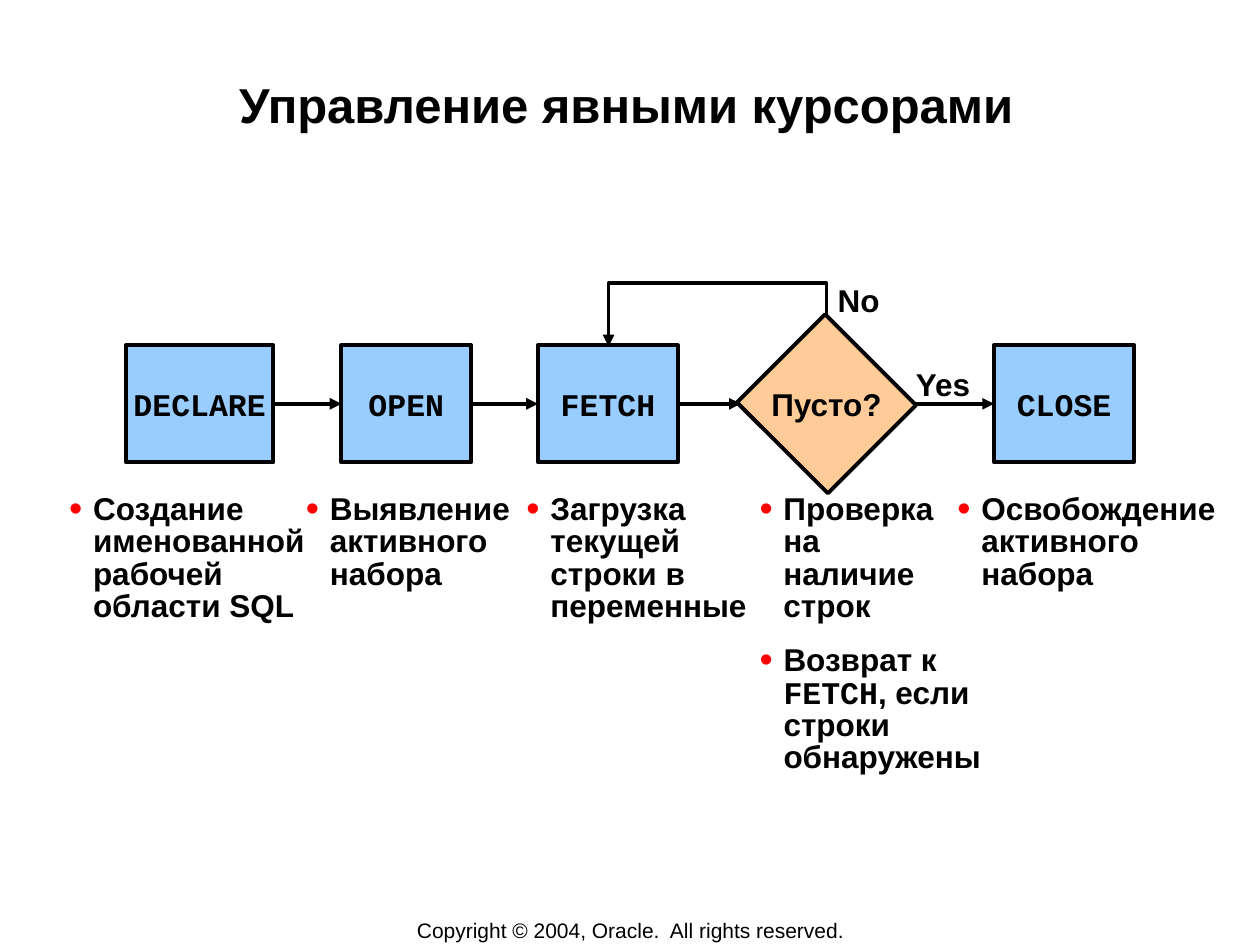
from lxml import etree
from pptx import Presentation
from pptx import util as u
from pptx.dml.color import RGBColor
from pptx.enum import shapes, text
from pptx.oxml import ns

COLORS = {"ink": "000000", "step": "99CCFF", "test": "FFCC99", "bullet": "FF0000"}
SANS, MONO = "Arial", "Courier New"
CENTER, LEFT = text.PP_ALIGN.CENTER, text.PP_ALIGN.LEFT
MIDDLE, TOP = text.MSO_ANCHOR.MIDDLE, text.MSO_ANCHOR.TOP
LINE_WIDTH = u.Pt(2.25)

STEP_TOP, STEP_HEIGHT = 2.74, 0.93
STEPS = {"DECLARE": (1, 1.17), "OPEN": (2.71, 1.03), "FETCH": (4.27, 1.11), "CLOSE": (7.89, 1.11)}
TEST_BOX = (6.05, 2.71, 1.02, 0.99)
TEST_LEFT, TEST_RIGHT = 5.88, 7.25
NOTES_TOP = 3.88
NOTES = [
    ((0.45, NOTES_TOP, 2.22, 0.87), [("Создание именованной рабочей области SQL", SANS)]),
    ((2.33, NOTES_TOP, 1.83, 0.79), [("Выявление активного набора", SANS)]),
    ((4.08, NOTES_TOP, 2.08, 1.12), [("Загрузка текущей строки в переменные", SANS)]),
    ((5.93, NOTES_TOP, 1.74, 1.22), [("Проверка на наличие строк", SANS)]),
    ((5.93, NOTES_TOP + 1.2, 1.99, 0.9),
     [("Возврат к ", SANS), ("FETCH", MONO), (", если строки обнаружены", SANS)]),
    ((7.5, NOTES_TOP, 2.33, 0.87), [("Освобождение активного набора", SANS)]),
]


def rgb(name):
    """Return the named palette colour."""
    return RGBColor.from_string(COLORS[name])


def inches(box):
    """Convert a box of numbers to lengths."""
    return [u.Inches(value) for value in box]


def add_bullet(p):
    """Give a paragraph a red round bullet with a hanging indent."""
    pPr = p._p.get_or_add_pPr()
    pPr.set("marL", str(u.Inches(0.19)))
    pPr.set("indent", str(-u.Inches(0.19)))
    color = etree.SubElement(pPr, ns.qn("a:buClr"))
    etree.SubElement(color, ns.qn("a:srgbClr"), val=COLORS["bullet"])
    etree.SubElement(pPr, ns.qn("a:buSzPct"), val="120000")
    etree.SubElement(pPr, ns.qn("a:buFont"), typeface=SANS)
    etree.SubElement(pPr, ns.qn("a:buChar"), char="•")


def write(s, runs, font=SANS, size=18, bold=True, align=LEFT, anchor=TOP,
          wrap=False, bullet=False, line_spacing=None):
    """Write a string or (text, font) runs into a shape."""
    tf = s.text_frame
    tf.word_wrap = wrap
    tf.auto_size = text.MSO_AUTO_SIZE.NONE
    tf.vertical_anchor = anchor
    p = tf.paragraphs[0]
    p.alignment = align
    if bullet:
        add_bullet(p)
    if line_spacing:
        p.line_spacing = line_spacing
    for words, face in [(runs, font)] if isinstance(runs, str) else runs:
        r = p.add_run()
        r.text = words
        r.font.name = face
        r.font.size = u.Pt(size)
        r.font.bold = bold
        r.font.color.rgb = rgb("ink")


def add_text(slide, box, runs, **fmt):
    """Add a text box."""
    write(slide.shapes.add_textbox(*inches(box)), runs, **fmt)


def add_box(slide, box, fill):
    """Add an outlined rectangle."""
    sp = slide.shapes.add_shape(shapes.MSO_SHAPE.RECTANGLE, *inches(box))
    sp.shadow.inherit = False
    sp.fill.solid()
    sp.fill.fore_color.rgb = rgb(fill)
    sp.line.color.rgb = rgb("ink")
    sp.line.width = LINE_WIDTH
    return sp


def style_arrow(s):
    """Draw a line in ink with an arrowhead at its end and no shadow."""
    s.line.color.rgb = rgb("ink")
    s.line.width = LINE_WIDTH
    etree.SubElement(s.line._get_or_add_ln(), ns.qn("a:tailEnd"), type="triangle")
    etree.SubElement(s._element.spPr, ns.qn("a:effectLst"))


def add_arrow(slide, start, end, source=None, target=None):
    """Add a straight arrow, joined to the boxes it leaves and reaches."""
    arrow = slide.shapes.add_connector(
        shapes.MSO_CONNECTOR.STRAIGHT, *inches(start), *inches(end))
    if source is not None:
        arrow.begin_connect(source, 3)
    if target is not None:
        arrow.end_connect(target, 1)
    style_arrow(arrow)


def add_title(slide, box):
    """Place and format the title."""
    title = slide.shapes.title
    title.left, title.top, title.width, title.height = inches(box)
    tf = title.text_frame
    tf.margin_left = tf.margin_right = tf.margin_top = tf.margin_bottom = u.Inches(0.01)
    write(title, "Управление явными курсорами", size=28, align=CENTER, wrap=True)


def add_test(slide, box):
    """Add the decision as a turned square with its label."""
    left, top, width, height = box
    add_box(slide, box, "test").rotation = 45
    add_text(slide, (left - 0.07, top + 0.3, width + 0.14, 0.4), "Пусто?", align=CENTER)


def add_loop(slide, box):
    """Add the return path from the decision to the fetch step."""
    left, top, width, height = box
    right, bottom = left + width, top + height
    builder = slide.shapes.build_freeform(u.Inches(right), u.Inches(bottom))
    corners = [(right, top), (left, top), (left, bottom)]
    builder.add_line_segments([inches(corner) for corner in corners], close=False)
    loop = builder.convert_to_shape()
    loop.fill.background()
    style_arrow(loop)


def add_flow(slide):
    """Add the steps, the decision and the arrows between them."""
    add_loop(slide, (4.83, 2.25, 1.73, 0.5))
    add_test(slide, TEST_BOX)
    steps = {}
    for name, (left, width) in STEPS.items():
        steps[name] = add_box(slide, (left, STEP_TOP, width, STEP_HEIGHT), "step")
        write(steps[name], name, font=MONO, align=CENTER, anchor=MIDDLE)
    middle = STEP_TOP + STEP_HEIGHT / 2
    before, after = (TEST_LEFT, middle), (TEST_RIGHT, middle)
    add_arrow(slide, before, before, steps["DECLARE"], steps["OPEN"])
    add_arrow(slide, before, before, steps["OPEN"], steps["FETCH"])
    add_arrow(slide, before, before, source=steps["FETCH"])
    add_arrow(slide, after, after, target=steps["CLOSE"])
    add_text(slide, (6.55, 2.18, 0.54, 0.4), "No")
    add_text(slide, (7.17, 2.85, 0.65, 0.4), "Yes")


def add_notes(slide):
    """Add the bulleted explanation under each step."""
    for box, runs in NOTES:
        add_text(slide, box, runs, wrap=True, bullet=True, line_spacing=0.85)


def main():
    """Build and save the slide."""
    prs = Presentation()
    prs.slide_width, prs.slide_height = u.Inches(10), u.Inches(7.5)
    slide = prs.slides.add_slide(prs.slide_layouts[5])
    add_title(slide, (0.97, 0.58, 8, 0.96))
    add_flow(slide)
    add_notes(slide)
    add_text(slide, (2.76, 7.28, 4.49, 0.21), "Copyright © 2004, Oracle.  All rights reserved.",
             size=12, bold=False, align=CENTER, anchor=MIDDLE)
    prs.save("out.pptx")


if __name__ == "__main__":
    main()
